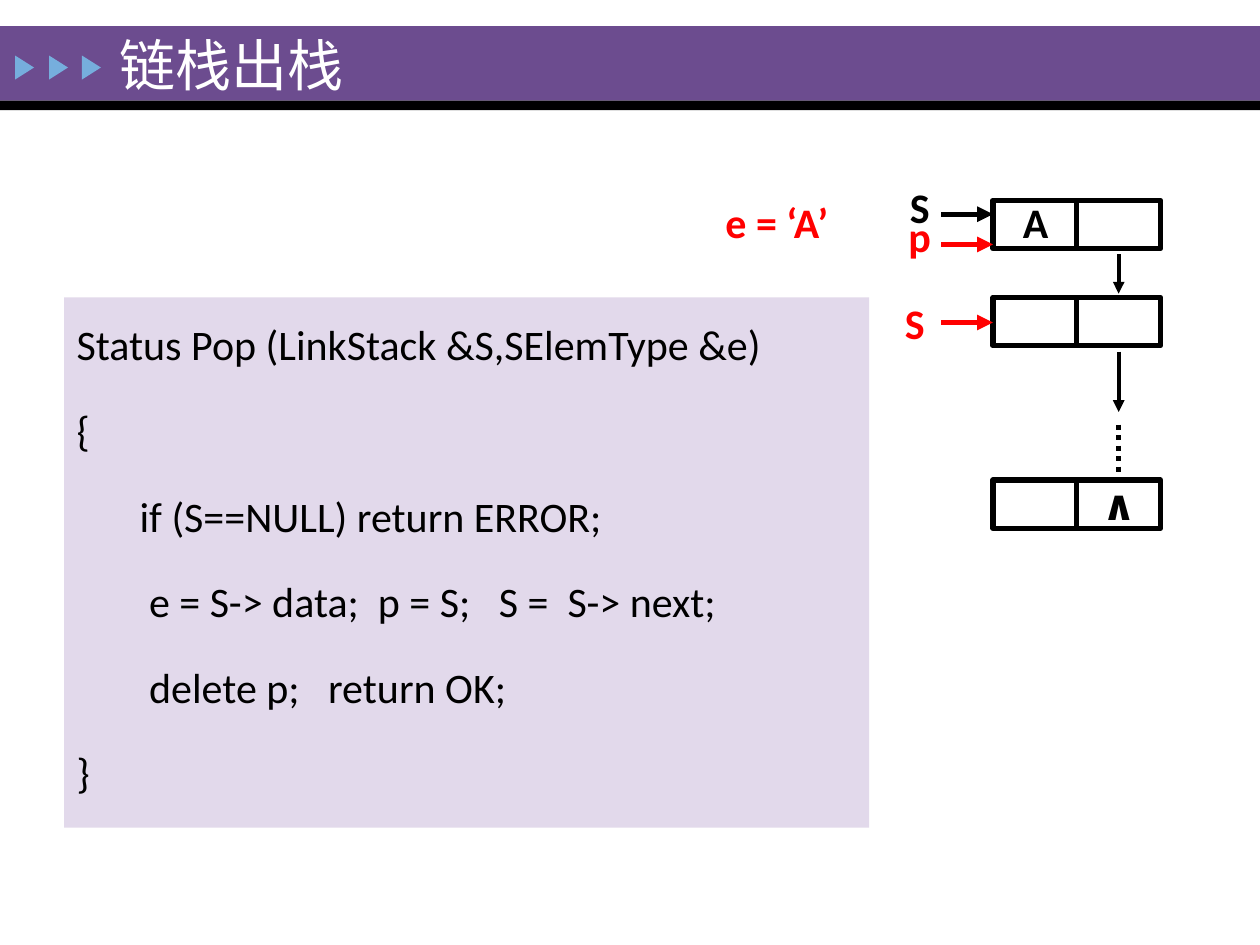
from lxml import etree
from pptx import Presentation
from pptx.dml.color import RGBColor
from pptx.enum import dml, shapes, text
from pptx.oxml import ns
from pptx.util import Pt

BLACK, RED, WHITE = "000000", "FF0000", "FFFFFF"

deck = Presentation()
deck.slide_width, deck.slide_height = Pt(720), Pt(540)
page = deck.slides.add_slide(deck.slide_layouts[5])


def color(value):
    return RGBColor.from_string(value)


def add_line(start, end, ink=BLACK, width=3, arrow=False):
    line = page.shapes.add_connector(
        shapes.MSO_CONNECTOR.STRAIGHT, *[Pt(v) for v in (*start, *end)])
    line.line.color.rgb = color(ink)
    line.line.width = Pt(width)
    properties = line._element.spPr
    if arrow:
        etree.SubElement(line.line._get_or_add_ln(), ns.qn("a:tailEnd"), type="triangle")
    etree.SubElement(properties, ns.qn("a:effectLst"))
    return line


header = [
    ("RECTANGLE", 0, 15, 720, 42.5, "6C4C8F"),
    ("RECTANGLE", 0, 57.5, 720, 5.5, BLACK),
]
for left in (7.2, 26.6, 45.4):
    header.append(("ISOSCELES_TRIANGLE", left, 33.2, 13.7, 10.8, "76AEDD"))
for kind, left, top, width, height, fill in header:
    shape = page.shapes.add_shape(
        shapes.MSO_SHAPE[kind], Pt(left), Pt(top), Pt(width), Pt(height))
    shape.shadow.inherit = False
    shape.fill.solid()
    shape.fill.fore_color.rgb = color(fill)
    shape.line.fill.background()
    if kind == "ISOSCELES_TRIANGLE":
        shape.rotation = 90

title = page.shapes.title
shape._element.addnext(title._element)
title.left, title.top, title.width, title.height = Pt(61.2), Pt(16.6), Pt(268), Pt(40.3)
title.text_frame.text = "链栈出栈"
title.text_frame.vertical_anchor = text.MSO_ANCHOR.MIDDLE
para = title.text_frame.paragraphs[0]
para.alignment = text.PP_ALIGN.LEFT
para.font.size, para.font.name = Pt(32), "Calibri"
para.font.color.rgb = color(WHITE)

node_left, node_width, node_height = 567.4, 95.8, 27.6
middle = node_left + node_width / 2
for top in (114.5, 170, 274.3):
    node = page.shapes.add_shape(
        shapes.MSO_SHAPE.RECTANGLE, Pt(node_left), Pt(top), Pt(node_width), Pt(node_height))
    node.shadow.inherit = False
    node.fill.solid()
    node.fill.fore_color.rgb = color(WHITE)
    node.line.color.rgb = color(BLACK)
    node.line.width = Pt(3)
    add_line((middle, top), (middle, top + node_height))

link = node_left + node_width * 0.75
for top, bottom in ((145.4, 167.8), (200.9, 235.4)):
    add_line((link, top), (link, bottom), width=2.25, arrow=True)
add_line((link, 242.6), (link, 270)).line.dash_style = dml.MSO_LINE.ROUND_DOT
for height, ink in ((122.4, BLACK), (139.7, RED), (184.3, RED)):
    add_line((537.8, height), (node_left, height), ink, arrow=True)

labels = [
    ("∧", 621.4, 270, 36, BLACK),
    ("S", 507.6, 100.4, 36, BLACK),
    ("A", 573.8, 109, 36, BLACK),
    ("e = ‘A’", 380.9, 109, 126, RED),
    ("p", 507.6, 117, 36, RED),
    ("S", 504.7, 166.7, 36, RED),
]
for wording, left, top, width, ink in labels:
    box = page.shapes.add_textbox(Pt(left), Pt(top), Pt(width), Pt(36.5))
    box.text_frame.word_wrap = True
    box.text_frame.text = wording
    para = box.text_frame.paragraphs[0]
    para.alignment = text.PP_ALIGN.CENTER
    para.font.size, para.font.name, para.font.bold = Pt(24), "Calibri", True
    para.font.color.rgb = color(ink)

code_lines = [
    ("Status Pop (LinkStack &S,SElemType &e)", 0),
    ("{", 0),
    ("if (S==NULL) return ERROR;", 1),
    (" e = S-> data;  p = S;   S =  S-> next;", 1),
    (" delete p;   return OK;", 1),
    ("}", 0),
]
code = page.shapes.add_shape(
    shapes.MSO_SHAPE.RECTANGLE, Pt(36.7), Pt(170), Pt(460), Pt(303))
code.shadow.inherit = False
code.fill.solid()
code.fill.fore_color.rgb = color("E2D9EB")
code.line.fill.background()
frame = code.text_frame
frame.word_wrap = True
frame.vertical_anchor = text.MSO_ANCHOR.TOP
frame.text = "\n".join(wording for wording, level in code_lines)
for index, (para, (wording, level)) in enumerate(zip(frame.paragraphs, code_lines)):
    para.level = level
    para._p.get_or_add_pPr().set("marL", str(Pt(36 * level)))
    para.alignment = text.PP_ALIGN.LEFT
    para.line_spacing = 1.3
    para.space_before = Pt(11.5 if index else 0)
    para.font.size, para.font.name = Pt(24), "Calibri"
    para.font.color.rgb = color(BLACK)

deck.save("out.pptx")
